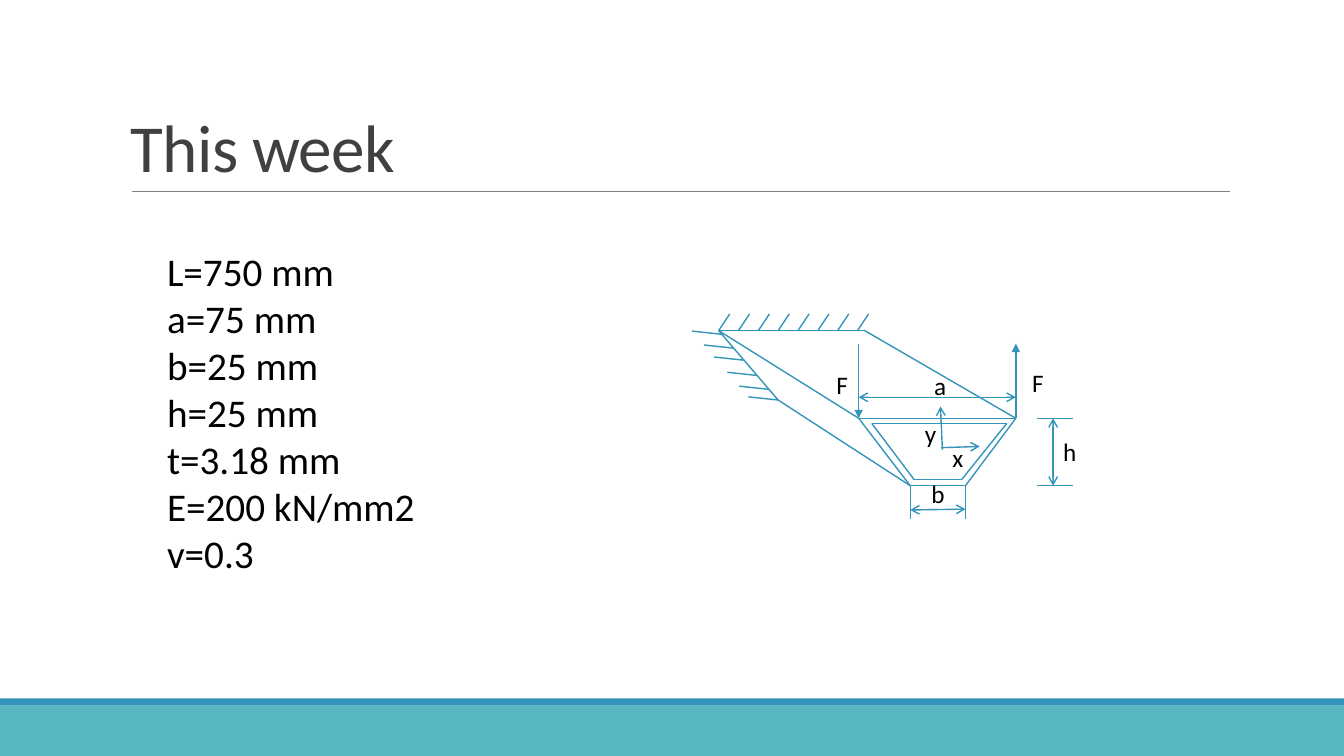
import pptx
import pptx.dml.color
import pptx.enum.shapes
import pptx.enum.text
import pptx.oxml
import pptx.oxml.ns
import pptx.util

Cm = pptx.util.Cm
Pt = pptx.util.Pt
BLUE = "3494BA"
BLACK = "000000"


def paint(item, code):
    """Give a fill, line or font a solid hex colour."""
    if hasattr(item, "solid"):
        item.solid()
        item = item.fore_color
    else:
        item = item.fill.fore_color if item.fill.solid() else solid(item)
    item.rgb = pptx.dml.color.RGBColor.from_string(code)


def solid(item):
    """Return the colour of a line or font with a solid fill."""
    item.fill.solid()
    return item.fill.fore_color


def add(parent, tag, **attrs):
    """Append an empty drawing element to an XML parent."""
    node = pptx.oxml.parse_xml(f'<a:{tag} {pptx.oxml.ns.nsdecls("a")}/>')
    for name, value in attrs.items():
        node.set(name, value)
    parent.append(node)


def line(shapes, box, start, end, head=None, tail=None, code=BLUE, width=1):
    """Draw a straight line between two points of the box."""
    left, top = box[:2]
    wire = shapes.add_connector(
        pptx.enum.shapes.MSO_CONNECTOR.STRAIGHT,
        Cm(left + start[0]), Cm(top + start[1]),
        Cm(left + end[0]), Cm(top + end[1]))
    paint(wire.line, code)
    wire.line.width = Pt(width)
    for tag, kind in (("headEnd", head), ("tailEnd", tail)):
        if kind:
            add(wire.line._get_or_add_ln(), tag, type=kind)
    add(wire._element.spPr, "effectLst")


def text(shapes, box, rows, size, code=BLACK, wrap=True):
    """Write rows of text in the box and return its frame."""
    frame = shapes.add_textbox(*map(Cm, box)).text_frame
    frame.word_wrap = wrap
    frame.text = "\n".join(rows)
    for para in frame.paragraphs:
        para.font.name = "Calibri"
        para.font.size = Pt(size)
        paint(para.font, code)
    return frame


def footer(slide, box):
    """Draw the footer bar with its dark upper edge."""
    left, top, width, height = box
    edge = 0.18
    for y, tall, code in ((top, edge, BLUE),
                          (top + edge, height - edge, "58B6C0")):
        bar = slide.shapes.add_shape(
            pptx.enum.shapes.MSO_SHAPE.RECTANGLE,
            Cm(left), Cm(y), Cm(width), Cm(tall))
        bar.shadow.inherit = False
        paint(bar.fill, code)
        bar.line.fill.background()


def title(slide, box, words):
    """Write the title above its thin rule."""
    frame = text(slide.shapes, box, [words], 48, "404040")
    frame.vertical_anchor = pptx.enum.text.MSO_ANCHOR.BOTTOM
    para = frame.paragraphs[0]
    para.line_spacing = 0.85
    para.font._rPr.set("spc", "-50")
    width, height = box[2:]
    line(slide.shapes, box, (0.28, height), (width, height),
         code="808080", width=0.5)


def values(slide, box):
    """List the sizes and material values of the beam."""
    rows = ["L=750 mm", "a=75 mm", "b=25 mm", "h=25 mm", "t=3.18 mm",
            "E=200 kN/mm2", "v=0.3"]
    text(slide.shapes, box, rows, 28)


def beam(slide, box):
    """Draw the clamped hollow beam with its loads and sizes."""
    shapes = slide.shapes.add_group_shape().shapes
    outer = [(4.19, 2.64), (8.15, 2.64), (6.88, 4.34), (5.49, 4.34)]
    inner = [(4.52, 2.77), (7.92, 2.77), (6.78, 4.19), (5.59, 4.19)]
    left, right, base, foot = outer
    back, far, low = (0.66, 0.43), (4.34, 0.43), (2.16, 2.18)

    for ring in (outer, inner):
        for start, end in zip(ring, ring[1:] + ring[:1]):
            line(shapes, box, start, end)
    for start, end in ((left, back), (right, far), (foot, low),
                       (low, back), (back, far)):
        line(shapes, box, start, end)

    for step in range(8):
        x = back[0] + 0.5 * step
        line(shapes, box, (x, back[1]), (x + 0.28, 0.01))
    slope = (low[1] - back[1]) / (low[0] - back[0])
    for x in (0.74, 1.04, 1.3, 1.63, 1.93, 2.16):
        y = back[1] + slope * (x - back[0])
        line(shapes, box, (x, y), (x - 0.75, y - 0.08))

    line(shapes, box, left, (left[0], 0.76), head="triangle")
    line(shapes, box, right, (right[0], 0.76), tail="triangle")
    line(shapes, box, (6.3, 3.43), (6.25, 2.34), tail="arrow")
    line(shapes, box, (6.27, 3.38), (7.24, 3.35), tail="arrow")

    for start, end in (((left[0], 2.11), (right[0], 2.11)),
                       ((9.09, base[1]), (9.09, right[1])),
                       ((foot[0], 4.95), (base[0], 4.93))):
        line(shapes, box, start, end, head="arrow", tail="arrow")
    for y in (right[1], base[1]):
        line(shapes, box, (8.69, y), (9.6, y))
    for x, y in (base, foot):
        line(shapes, box, (x, y), (x, 5.18))

    for name, x, y in (("a", 5.84, 1.3), ("h", 9.09, 2.97), ("F", 8.31, 1.24),
                       ("F", 3.38, 1.27), ("y", 5.61, 2.51), ("x", 6.3, 3.12),
                       ("b", 5.77, 4.04)):
        text(shapes, (box[0] + x, box[1] + y, 0.83, 1.02), [name], 18,
             wrap=False)


def main():
    """Build and save the slide."""
    deck = pptx.Presentation()
    deck.slide_width, deck.slide_height = Cm(33.87), Cm(19.05)
    slide = deck.slides.add_slide(deck.slide_layouts[6])
    footer(slide, (0, 17.6, 33.87, 1.45))
    title(slide, (3.05, 0.79, 27.94, 4.04), "This week")
    beam(slide, (17.45, 7.9, 9.96, 5.18))
    values(slide, (3.96, 6.1, 12.12, 8.64))
    deck.save("out.pptx")


if __name__ == "__main__":
    main()
